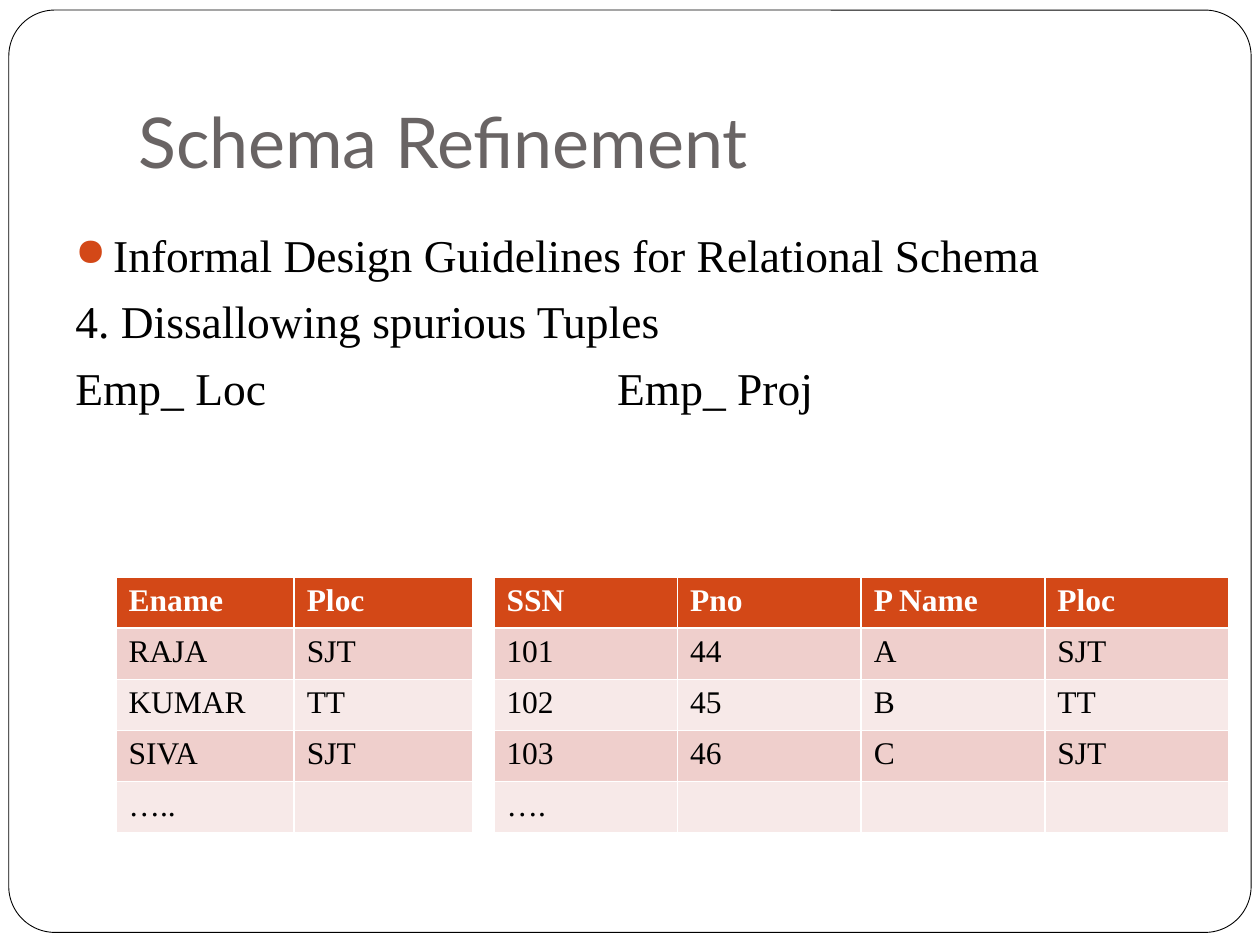
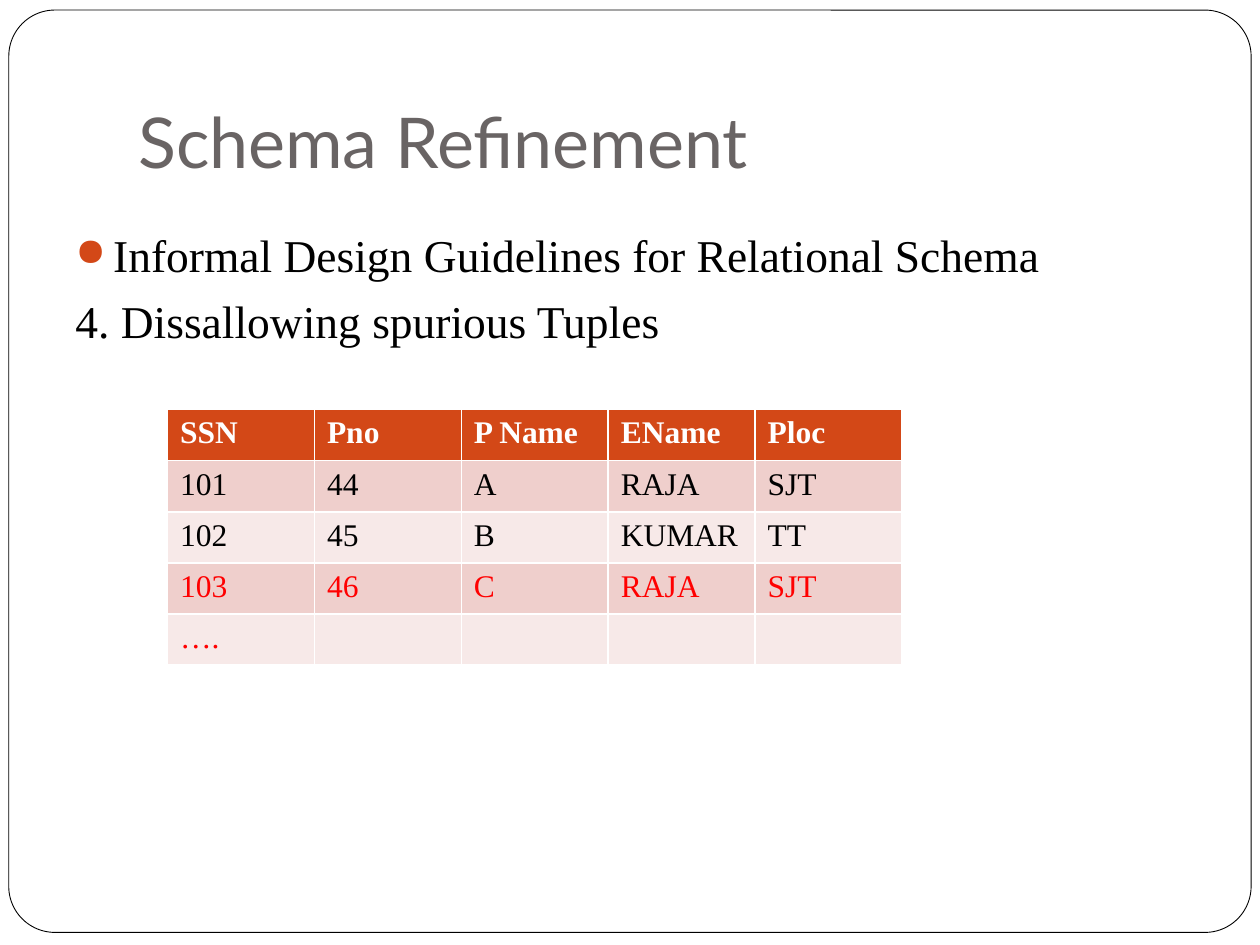
from dataclasses import dataclass

from lxml.etree import SubElement
from pptx import Presentation
from pptx.dml.color import RGBColor as Rgb
from pptx.enum.shapes import MSO_SHAPE as Shape
from pptx.enum.text import MSO_ANCHOR as Anchor
from pptx.oxml.ns import qn
from pptx.util import Inches, Pt


@dataclass(frozen=True)
class Theme:
    paper: Rgb = Rgb.from_string("FFFFFF")
    ink: Rgb = Rgb.from_string("000000")
    heading: Rgb = Rgb.from_string("696464")
    accent: Rgb = Rgb.from_string("D34817")
    band_dark: Rgb = Rgb.from_string("EFCFCC")
    band_light: Rgb = Rgb.from_string("F7E9E8")
    alert: Rgb = Rgb.from_string("FF0000")
    heading_font: str = "Lato"
    body_font: str = "Times New Roman"
    heading_size: int = 40
    body_size: int = 26
    cell_size: int = 18
    body_gap: int = 7


THEME = Theme()
FRAME_BOX = (0.07, 0.08, 9.86, 7.32)
TITLE_BOX = (1, 0.3, 8.5, 1.25)
BODY_BOX = (0.5, 1.75, 9, 6.5)
TITLE = "Schema Refinement"
TOPIC = "Informal Design Guidelines for Relational Schema"
GUIDELINE = "4. Dissallowing spurious Tuples"
TABLE_NAMES = "Emp_ Loc\tEmp_ Proj"
SECOND_NAME_TAB = 4.3

EMP_LOC = [
    ("Ename", "Ploc"),
    ("RAJA", "SJT"),
    ("KUMAR", "TT"),
    ("SIVA", "SJT"),
    ("…..", ""),
]
EMP_PROJ = [
    ("SSN", "Pno", "P Name", "Ploc"),
    ("101", "44", "A", "SJT"),
    ("102", "45", "B", "TT"),
    ("103", "46", "C", "SJT"),
    ("….", "", "", ""),
]
JOINED = [
    ("SSN", "Pno", "P Name", "EName", "Ploc"),
    ("101", "44", "A", "RAJA", "SJT"),
    ("102", "45", "B", "KUMAR", "TT"),
    ("103", "46", "C", "RAJA", "SJT"),
    ("….", "", "", "", ""),
]


def inches(box):
    return [Inches(length) for length in box]


def style(paragraph, font_name, size, color, bold=False):
    font = paragraph.font
    font.name, font.size, font.bold = font_name, Pt(size), bold
    font.color.rgb = color


def add_frame(slide, box):
    frame = slide.shapes.add_shape(Shape.ROUNDED_RECTANGLE, *inches(box))
    frame.adjustments[0] = 0.05
    frame.shadow.inherit = False
    frame.fill.solid()
    frame.fill.fore_color.rgb = THEME.paper
    frame.line.color.rgb = THEME.ink
    frame.line.width = Pt(0.5)


def add_title(slide, box):
    heading = slide.shapes.add_textbox(*inches(box)).text_frame
    heading.word_wrap = True
    heading.vertical_anchor = Anchor.BOTTOM
    heading.margin_bottom = Inches(0.1)
    heading.text = TITLE
    style(heading.paragraphs[0], THEME.heading_font, THEME.heading_size, THEME.heading)


def add_bullet(paragraph):
    props = paragraph._p.get_or_add_pPr()
    props.set("marL", str(Inches(0.3)))
    props.set("indent", str(-Inches(0.3)))
    color = SubElement(props, qn("a:buClr"))
    SubElement(color, qn("a:srgbClr"), val=str(THEME.accent))
    SubElement(props, qn("a:buSzPct"), val="85000")
    SubElement(props, qn("a:buChar"), char="●")


def add_tab_stop(paragraph, position):
    stops = SubElement(paragraph._p.get_or_add_pPr(), qn("a:tabLst"))
    SubElement(stops, qn("a:tab"), pos=str(Inches(position)), algn="l")


def add_body(slide, box, lines):
    """Write the lines, the first one bulleted, and align tabbed names."""
    body = slide.shapes.add_textbox(*inches(box)).text_frame
    body.word_wrap = True
    for index, line in enumerate(lines):
        paragraph = body.add_paragraph() if index else body.paragraphs[0]
        paragraph.add_run().text = line
        if index:
            paragraph.space_before = Pt(THEME.body_gap)
        else:
            add_bullet(paragraph)
        if "\t" in line:
            add_tab_stop(paragraph, SECOND_NAME_TAB)
        style(paragraph, THEME.body_font, THEME.body_size, THEME.ink)


def add_relation(slide, box, rows, spurious_from=None):
    """Draw a banded table; rows from spurious_from on are in the alert colour."""
    grid = slide.shapes.add_table(len(rows), len(rows[0]), *inches(box)).table
    for r, row in enumerate(rows):
        is_header = r == 0
        if is_header:
            fill, color = THEME.accent, THEME.paper
        else:
            fill = THEME.band_dark if r % 2 else THEME.band_light
            is_spurious = spurious_from is not None and r >= spurious_from
            color = THEME.alert if is_spurious else THEME.ink
        for c, value in enumerate(row):
            cell = grid.cell(r, c)
            cell.fill.solid()
            cell.fill.fore_color.rgb = fill
            cell.text = value
            style(cell.text_frame.paragraphs[0], THEME.body_font,
                  THEME.cell_size, color, is_header)


def add_schema_slide(deck, lines):
    slide = deck.slides.add_slide(deck.slide_layouts[6])
    add_frame(slide, FRAME_BOX)
    add_title(slide, TITLE_BOX)
    add_body(slide, BODY_BOX, lines)
    return slide


def main():
    deck = Presentation()
    deck.slide_width, deck.slide_height = Inches(10), Inches(7.5)

    relations = add_schema_slide(deck, [TOPIC, GUIDELINE, TABLE_NAMES])
    add_relation(relations, (0.92, 4.58, 2.83, 2.03), EMP_LOC)
    add_relation(relations, (3.92, 4.58, 5.83, 2.03), EMP_PROJ)

    join = add_schema_slide(deck, [TOPIC, GUIDELINE])
    add_relation(join, (1.33, 3.25, 5.83, 2.03), JOINED, spurious_from=3)

    deck.save("out.pptx")


if __name__ == "__main__":
    main()
